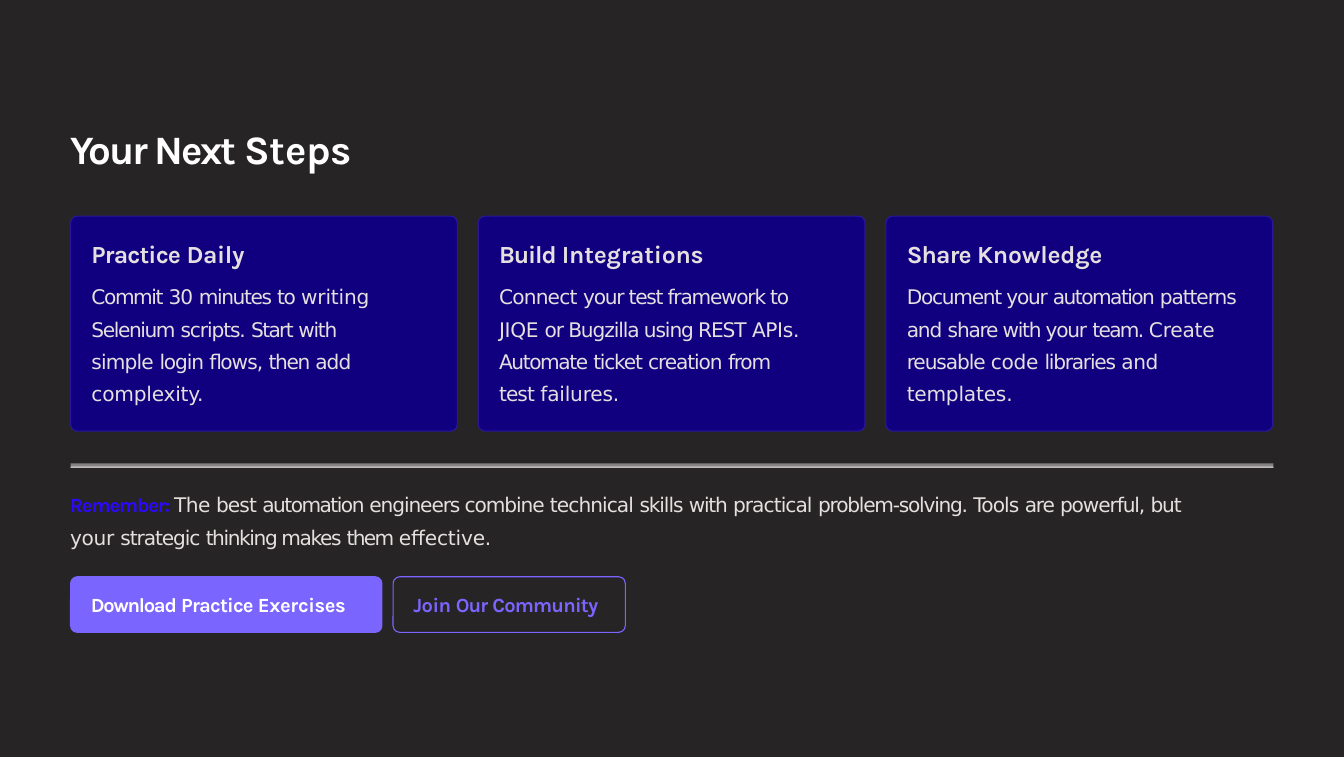
from lxml import etree
from pptx import Presentation
from pptx import util as u
from pptx.dml.color import RGBColor
from pptx.enum import shapes, text
from pptx.oxml import ns

Pt = u.Pt

BACKDROP = RGBColor(0x26, 0x24, 0x24)
CARD = RGBColor(0x10, 0x00, 0x7F)
CARD_EDGE = RGBColor(0x2A, 0x18, 0x98)
PALE = RGBColor(0xE5, 0xE0, 0xDF)
RULE_EDGE = RGBColor(0xEC, 0xEC, 0xED)
VIOLET = RGBColor(0x7B, 0x65, 0xFF)
BLUE = RGBColor(0x2B, 0x09, 0xFF)
WHITE = RGBColor(0xFF, 0xFF, 0xFF)

HEADING_FONT = "Karla"
BODY_FONT = "DejaVu Sans"

MARGIN = 47.25
CONTENT_WIDTH = 805.5
CARD_PITCH = 273
CARD_TOP = 144.75
BUTTON_TOP = 386.25
RADIUS = 4.5

# Text is given as (words, letter spacing in points) pairs
CARDS = [
    (201,
     [("Practice ", -0.5), ("Daily", -0.2)],
     [[("Commit ", -0.9), ("30 ", -0.5), ("minutes ", -0.9), ("to ", -0.8),
       ("writing ", -0.1), ("Selenium ", -0.9), ("scripts. ", -0.7),
       ("Start ", -1.1), ("with ", -0.8), ("simple ", -0.5), ("login ", -0.7),
       ("flows, ", -0.6), ("then ", -0.9), ("add ", -0.6),
       ("complexity.", -0.1)]]),
    (207.5,
     [("Build ", -0.7), ("Integrations", -0.1)],
     [[("Connect ", -0.5), ("your test framework to ", -0.8), ("JIQE ", -0.2),
       ("or Bugzilla using REST ", -0.7), ("APIs.", -0.2)],
      [("Automate ", -0.9), ("ticket ", -0.8), ("creation ", -0.7),
       ("from ", -0.8), ("test ", -0.6), ("failures.", -0.1)]]),
    (221.5,
     [("Share ", -0.5), ("Knowledge", -0.1)],
     [[("Document your", -0.8), (" automation ", -1), ("patterns and ", -0.7),
       ("share with your ", -0.8), ("team. ", -1.1), ("Create ", -0.1),
       ("reusable ", -0.7), ("code ", -0.2), ("libraries ", -0.8),
       ("and ", -0.2), ("templates.", -0.1)]]),
]
REMEMBER = [
    ("The ", -0.4), ("best ", -0.6), ("automation ", -1),
    ("engineers combine ", -0.7), ("technical ", -0.6), ("skills ", -0.7),
    ("with ", -0.8), ("practical ", -0.6), ("problem-solving. ", -0.8),
    ("Tools ", -0.6), ("are ", -0.8), ("powerful, ", -0.7), ("but ", -0.8),
    ("your ", -0.2), ("strategic ", -0.7), ("thinking makes ", -0.9),
    ("them ", -1.1), ("effective.", -0.1),
]
BUTTONS = [
    (MARGIN, 208.5, VIOLET, WHITE,
     [("Download", -0.8), (" Practice ", -0.5), ("Exercises", -0.2)]),
    (263.25, 155.5, BACKDROP, VIOLET,
     [("Join ", -0.3), ("Our ", -0.6), ("Community", -0.5)]),
]


def add_text(paragraph, pieces, *, size=13.5, font=HEADING_FONT, color=PALE,
             bold=True, line_spacing=None, space_before=0):
    paragraph.alignment = text.PP_ALIGN.LEFT
    paragraph.space_before = Pt(space_before)
    if line_spacing:
        paragraph.line_spacing = line_spacing
    for words, spacing in pieces:
        run = paragraph.add_run()
        run.text = words
        run.font.size = Pt(size)
        run.font.name = font
        run.font.bold = bold
        run.font.color.rgb = color
        run._r.get_or_add_rPr().set("spc", str(round(spacing * 100)))


def set_frame(frame, left=1, top=2):
    frame.word_wrap = True
    frame.auto_size = text.MSO_AUTO_SIZE.NONE
    frame.vertical_anchor = text.MSO_ANCHOR.TOP
    frame.margin_left, frame.margin_top = Pt(left), Pt(top)
    frame.margin_right = frame.margin_bottom = 0
    return frame


def add_text_box(slide, left, top, width, height, inset_top=2):
    box = slide.shapes.add_textbox(Pt(left), Pt(top), Pt(width), Pt(height))
    return set_frame(box.text_frame, top=inset_top)


def add_panel(slide, left, top, width, height, fill, *, line=None, radius=0,
              alpha=None):
    kind = shapes.MSO_SHAPE.ROUNDED_RECTANGLE if radius else shapes.MSO_SHAPE.RECTANGLE
    shape = slide.shapes.add_shape(kind, Pt(left), Pt(top), Pt(width), Pt(height))
    shape.shadow.inherit = False
    shape.fill.solid()
    shape.fill.fore_color.rgb = fill
    if radius:
        shape.adjustments[0] = radius / min(width, height)
    if line is None:
        shape.line.fill.background()
    else:
        shape.line.color.rgb = line
        shape.line.width = Pt(0.75)
    if alpha is not None:
        color = shape._element.spPr.find(".//" + ns.qn("a:srgbClr"))
        etree.SubElement(color, ns.qn("a:alpha")).set("val", str(alpha * 1000))
    return shape


def add_title(slide):
    title = slide.shapes.title
    title.left, title.top, title.width, title.height = Pt(46), Pt(81.25), Pt(400), Pt(35)
    frame = set_frame(title.text_frame)
    add_text(frame.paragraphs[0], [("Your Next ", -1.4), ("Steps", -0.3)],
             size=27, color=WHITE)
    return title


def add_card(slide, index, text_width, heading, paragraphs):
    offset = index * CARD_PITCH
    add_panel(slide, MARGIN + offset, CARD_TOP, 259, 144, CARD,
              line=CARD_EDGE, radius=RADIUS)
    frame = add_text_box(slide, 60.25 + offset, 157, text_width, 115, inset_top=2.8)
    add_text(frame.paragraphs[0], heading, size=16.5)
    for number, pieces in enumerate(paragraphs):
        add_text(frame.add_paragraph(), pieces, font=BODY_FONT, bold=False,
                 line_spacing=1.34, space_before=0 if number else 5.4)


def add_button(slide, left, width, fill, color, pieces):
    button = add_panel(slide, left, BUTTON_TOP, width, 37.25, fill,
                       line=VIOLET, radius=RADIUS)
    frame = set_frame(button.text_frame, left=12.25, top=9.25)
    add_text(frame.paragraphs[0], pieces, color=color)


def main():
    presentation = Presentation()
    presentation.slide_width = Pt(900)
    presentation.slide_height = Pt(507.6)
    slide = presentation.slides.add_slide(presentation.slide_layouts[5])

    # Title on a dark backdrop
    title = add_title(slide)
    backdrop = add_panel(slide, 0, 0, 900, 506.9, BACKDROP)
    title._element.addprevious(backdrop._element)

    # Three step cards
    for index, card in enumerate(CARDS):
        add_card(slide, index, *card)

    # Divider
    add_panel(slide, MARGIN, 310.25, CONTENT_WIDTH, 3, PALE, alpha=50)
    add_panel(slide, MARGIN, 312.5, CONTENT_WIDTH, 0.75, RULE_EDGE)

    # Closing reminder
    reminder = add_text_box(slide, 46, 322.5, 770, 45.5).paragraphs[0]
    add_text(reminder, [("Remember: ", -0.7)], color=BLUE, line_spacing=1.34)
    add_text(reminder, REMEMBER, font=BODY_FONT, bold=False, line_spacing=1.34)

    # Buttons
    for button in BUTTONS:
        add_button(slide, *button)

    presentation.save("out.pptx")


if __name__ == "__main__":
    main()
